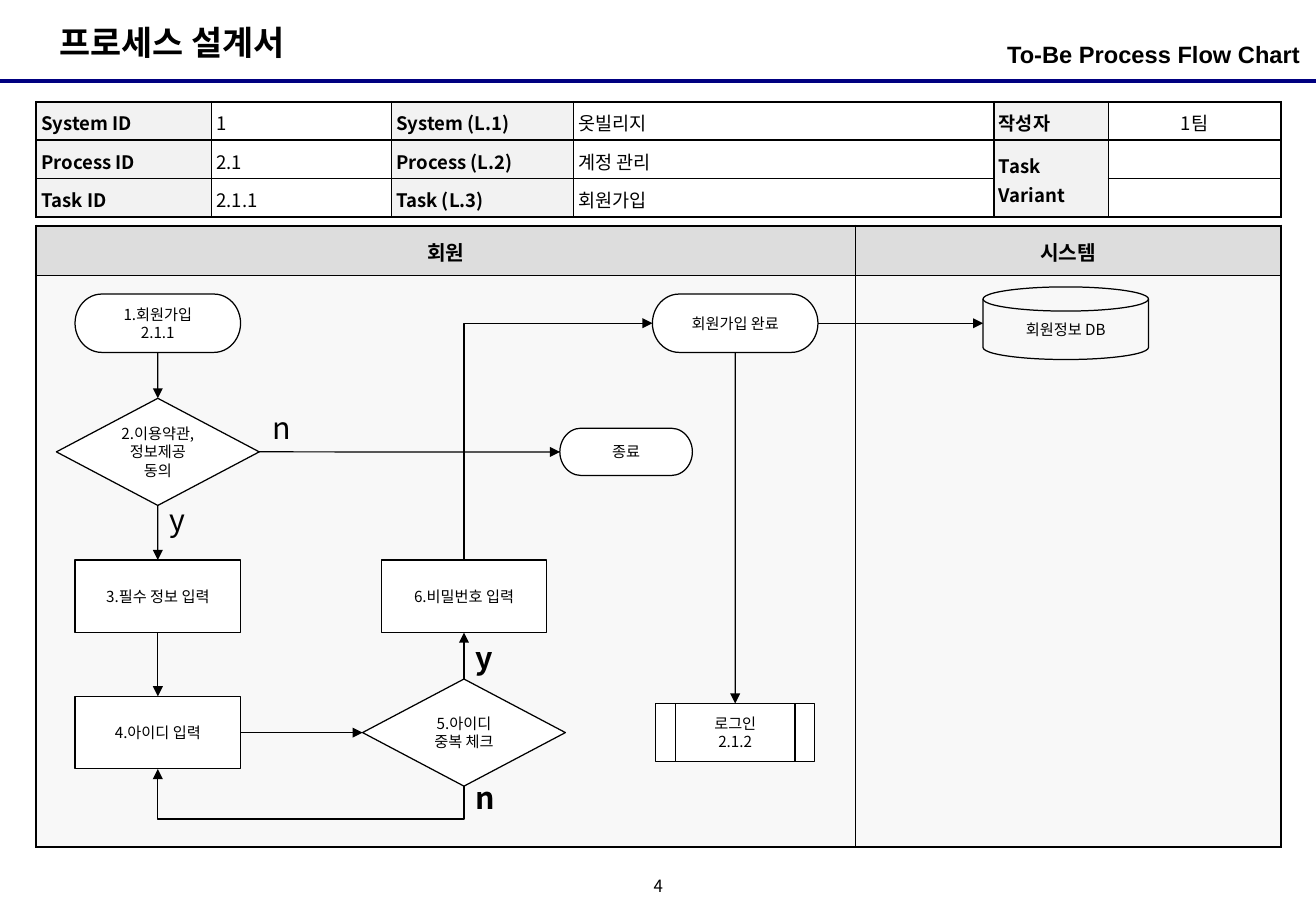
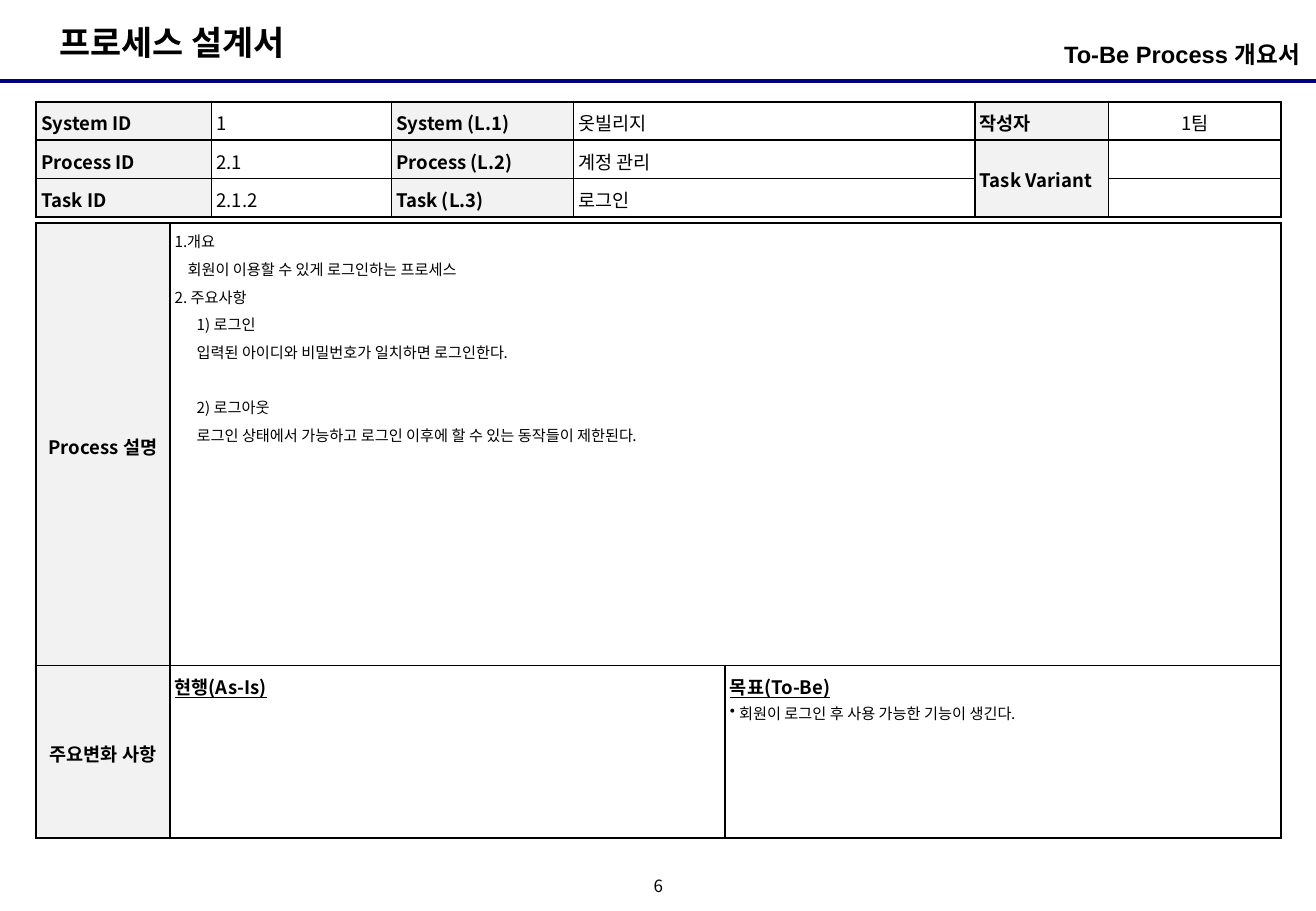
from dataclasses import dataclass

from lxml import etree
from pptx import Presentation
from pptx.dml.color import RGBColor
from pptx.enum.shapes import MSO_CONNECTOR, MSO_SHAPE
from pptx.enum.text import MSO_ANCHOR, MSO_AUTO_SIZE, PP_ALIGN
from pptx.oxml.ns import qn
from pptx.shapes.autoshape import Shape
from pptx.shapes.connector import Connector
from pptx.slide import Slide
from pptx.table import Table
from pptx.text.text import TextFrame
from pptx.util import Cm, Pt

LEFT, CENTER, RIGHT = PP_ALIGN.LEFT, PP_ALIGN.CENTER, PP_ALIGN.RIGHT
UPPER, MIDDLE = MSO_ANCHOR.TOP, MSO_ANCHOR.MIDDLE
STRAIGHT, ELBOW = MSO_CONNECTOR.STRAIGHT, MSO_CONNECTOR.ELBOW
TERMINATOR, DIAMOND = MSO_SHAPE.FLOWCHART_TERMINATOR, MSO_SHAPE.DIAMOND
RECTANGLE, DISK = MSO_SHAPE.RECTANGLE, MSO_SHAPE.FLOWCHART_MAGNETIC_DISK
SUBPROCESS = MSO_SHAPE.FLOWCHART_PREDEFINED_PROCESS
TOP_SIDE, LEFT_SIDE, BOTTOM_SIDE, RIGHT_SIDE = range(4)

COLORS = {"ink": "000000", "rule": "000080", "label": "F2F2F2",
          "lane head": "DDDDDD", "lane": "F8F8F8", "white": "FFFFFF"}
HEADING_FONT, BODY_FONT = "Arial", "Noto Sans CJK KR"
SLIDE_WIDTH, SLIDE_HEIGHT = 27.51, 19.05
TABLE_LEFT = 0.76


@dataclass(frozen=True)
class Line:
    text: str
    size: float = 11
    bold: bool = False
    underline: bool = False
    margin: float = 0
    before: float = 0
    bullet: bool = False
    font: str = BODY_FONT


@dataclass(frozen=True)
class Node:
    name: str
    kind: MSO_SHAPE
    text: str
    center_x: float
    center_y: float
    width: float = 3.46
    height: float = 1.52
    fill: str = "white"


@dataclass(frozen=True)
class Link:
    start: str
    start_side: int
    end: str
    end_side: int
    preset: str = ""
    bend: int | None = None


@dataclass(frozen=True)
class Answer:
    text: str
    left: float
    top: float
    bold: bool = False


def color(name: str) -> RGBColor:
    return RGBColor.from_string(COLORS[name])


def write(frame: TextFrame, lines: list[Line], align: PP_ALIGN = LEFT,
          spacing: float | None = None) -> None:
    frame.text = "\n".join(line.text for line in lines)
    for para, line in zip(frame.paragraphs, lines):
        para.alignment = align
        if spacing:
            para.line_spacing = spacing
        if line.before:
            para.space_before = Pt(line.before)
        if line.margin:
            properties = para._p.get_or_add_pPr()
            properties.set("marL", str(Cm(line.margin)))
            properties.set("indent", str(-Cm(line.margin) if line.bullet else 0))
        if line.bullet:
            etree.SubElement(para._p.get_or_add_pPr(), qn("a:buChar"), char="•")
        for span in para.runs:
            font = span.font
            font.name, font.size = line.font, Pt(line.size)
            font.bold, font.underline = line.bold, line.underline
            font.color.rgb = color("ink")
            etree.SubElement(span._r.get_or_add_rPr(), qn("a:ea"), typeface=BODY_FONT)
        if not para.runs:
            etree.SubElement(para._p, qn("a:endParaRPr"), sz=str(int(line.size * 100)))


def set_insets(frame: TextFrame, side: float, vertical: float) -> None:
    frame.margin_left = frame.margin_right = Cm(side)
    frame.margin_top = frame.margin_bottom = Cm(vertical)


def add_text(slide: Slide, place: tuple[float, float, float, float], line: Line,
             align: PP_ALIGN = LEFT, anchor: MSO_ANCHOR = UPPER,
             insets: tuple[float, float] = (0, 0)) -> None:
    box = slide.shapes.add_textbox(*map(Cm, place))
    box.text_frame.word_wrap = True
    box.text_frame.vertical_anchor = anchor
    set_insets(box.text_frame, *insets)
    write(box.text_frame, [line], align)


def style_line(connector: Connector, color_name: str, width: float) -> None:
    connector.line.color.rgb = color(color_name)
    connector.line.width = Pt(width)
    etree.SubElement(connector._element.spPr, qn("a:effectLst"))


# Shared page frame: title, subtitle, rule and page number
def add_page(deck: Presentation, subtitle: str, number: int) -> Slide:
    slide = deck.slides.add_slide(deck.slide_layouts[5])
    title = slide.shapes.title
    title.left, title.top, title.width, title.height = map(Cm, (0.99, 0.33, 5.74, 1.12))
    frame = title.text_frame
    frame.auto_size, frame.word_wrap = MSO_AUTO_SIZE.NONE, False
    frame.vertical_anchor = UPPER
    set_insets(frame, 0.25, 0.13)
    write(frame, [Line("프로세스 설계서", 20, True, font=HEADING_FONT)])
    rule = slide.shapes.add_connector(STRAIGHT, 0, Cm(1.7), Cm(SLIDE_WIDTH), Cm(1.7))
    style_line(rule, "rule", 2.25)
    add_text(slide, (18.77, 0.71, 8.41, 0.99),
             Line(subtitle, 14, True, font=HEADING_FONT), RIGHT, insets=(0, 0.13))
    add_text(slide, (13.34, 18.21, 0.84, 0.64), Line(str(number), 10), CENTER, MIDDLE)
    return slide


# Tables
def add_grid(slide: Slide, top: float, columns: list[float], rows: list[float]) -> Table:
    table = slide.shapes.add_table(
        len(rows), len(columns), Cm(TABLE_LEFT), Cm(top),
        Cm(sum(columns)), Cm(sum(rows))).table
    table.first_row = table.horz_banding = False
    for column, width in zip(table.columns, columns):
        column.width = Cm(width)
    for row, height in zip(table.rows, rows):
        row.height = Cm(height)
    return table


def fill_cell(table: Table, row: int, column: int, lines: list[Line],
              fill: str = "white", align: PP_ALIGN = LEFT,
              anchor: MSO_ANCHOR = UPPER) -> None:
    cell = table.cell(row, column)
    cell.fill.solid()
    cell.fill.fore_color.rgb = color(fill)
    cell.vertical_anchor = anchor
    cell.margin_left = cell.margin_right = cell.margin_top = cell.margin_bottom = Cm(0.1)
    write(cell.text_frame, lines, align, 1.1)


def draw_borders(table: Table, inner: float, outer: float = 1.5) -> None:
    last_row, last_column = len(table.rows), len(table.columns)
    for row in range(last_row):
        for column in range(last_column):
            cell = table.cell(row, column)
            right = column + (cell.span_width if cell.is_merge_origin else 1)
            bottom = row + (cell.span_height if cell.is_merge_origin else 1)
            at_edge = {"a:lnL": column == 0, "a:lnR": right == last_column,
                       "a:lnT": row == 0, "a:lnB": bottom == last_row}
            properties = cell._tc.get_or_add_tcPr()
            for position, (tag, edge) in enumerate(at_edge.items()):
                border = etree.Element(qn(tag), w=str(Pt(outer if edge else inner)))
                paint = etree.SubElement(border, qn("a:solidFill"))
                etree.SubElement(paint, qn("a:srgbClr"), val=COLORS["ink"])
                properties.insert(position, border)


def add_task_info(slide: Slide, task_id: str, task: str, variant_width: float) -> None:
    columns = [3.66, 3.76, 3.81, 11.18 - variant_width, variant_width, 3.61]
    table = add_grid(slide, 2.13, columns, [0.8] * 3)
    table.cell(1, 4).merge(table.cell(2, 4))
    records = [("System ID", "1", "System (L.1)", "옷빌리지", "작성자", "1팀"),
               ("Process ID", "2.1", "Process (L.2)", "계정 관리", "Task Variant", ""),
               ("Task ID", task_id, "Task (L.3)", task, "", "")]
    for row, record in enumerate(records):
        for column, text in enumerate(record):
            is_label = column % 2 == 0
            if not table.cell(row, column).is_spanned:
                fill_cell(table, row, column, [Line(text, bold=is_label)],
                          "label" if is_label else "white",
                          CENTER if column == 5 else LEFT,
                          MIDDLE if column >= 4 else UPPER)
    draw_borders(table, 1)


# Flow chart
def add_node(slide: Slide, node: Node) -> Shape:
    shape = slide.shapes.add_shape(
        node.kind, Cm(node.center_x - node.width / 2), Cm(node.center_y - node.height / 2),
        Cm(node.width), Cm(node.height))
    shape.shadow.inherit = False
    shape.fill.solid()
    shape.fill.fore_color.rgb = color(node.fill)
    shape.line.color.rgb = color("ink")
    shape.line.width = Pt(0.75)
    frame = shape.text_frame
    frame.word_wrap, frame.vertical_anchor = True, MIDDLE
    set_insets(frame, 0.25, 0.25)
    write(frame, [Line(text, 9) for text in node.text.split("\n")], CENTER)
    return shape


def side_point(shape: Shape, side: int) -> tuple[int, int]:
    across, down = [(0.5, 0), (0, 0.5), (0.5, 1), (1, 0.5)][side]
    return (int(shape.left + shape.width * across), int(shape.top + shape.height * down))


def add_link(slide: Slide, shapes: dict[str, Shape], link: Link) -> None:
    start, end = shapes[link.start], shapes[link.end]
    start_x, start_y = side_point(start, link.start_side)
    end_x, end_y = side_point(end, link.end_side)
    connector = slide.shapes.add_connector(
        ELBOW if link.preset else STRAIGHT, start_x, start_y, end_x, end_y)
    connector.begin_connect(start, link.start_side)
    if end.auto_shape_type != DISK:
        connector.end_connect(end, link.end_side)
    style_line(connector, "ink", 0.75)
    etree.SubElement(connector.line._get_or_add_ln(), qn("a:tailEnd"), type="triangle")
    if not link.preset:
        return
    # A bend that leaves vertically is the horizontal preset turned by 90 degrees
    width, height = abs(end_y - start_y), abs(end_x - start_x)
    connector.left = (start_x + end_x - width) // 2
    connector.top = (start_y + end_y - height) // 2
    connector.width, connector.height = width, height
    frame = connector._element.spPr.find(qn("a:xfrm"))
    frame.set("rot", "5400000")
    frame.set("flipH", str(int(start_y > end_y)))
    frame.set("flipV", str(int(start_x < end_x)))
    geometry = connector._element.spPr.find(qn("a:prstGeom"))
    geometry.set("prst", link.preset)
    if link.bend is not None:
        guides = geometry.find(qn("a:avLst"))
        if guides is None:
            guides = etree.SubElement(geometry, qn("a:avLst"))
        etree.SubElement(guides, qn("a:gd"), name="adj1", fmla=f"val {link.bend}")


COLUMN_1, COLUMN_2, COLUMN_3, COLUMN_DB = 3.3, 9.7, 15.37, 22.28
ROW_1, ROW_2, ROW_3, ROW_4 = 6.76, 9.45, 12.47, 15.32
NODES = [
    Node("join", TERMINATOR, "1.회원가입\n2.1.1", COLUMN_1, ROW_1, height=1.22),
    Node("terms", DIAMOND, "2.이용약관,\n정보제공 동의", COLUMN_1, ROW_2, 4.24, 2.24),
    Node("details", RECTANGLE, "3.필수 정보 입력", COLUMN_1, ROW_3),
    Node("user id", RECTANGLE, "4.아이디 입력", COLUMN_1, ROW_4),
    Node("id check", DIAMOND, "5.아이디 중복 체크", COLUMN_2, ROW_4, 4.24, 2.24),
    Node("password", RECTANGLE, "6.비밀번호 입력", COLUMN_2, ROW_3),
    Node("end", TERMINATOR, "종료", 13.09, ROW_2, 2.77, 0.99),
    Node("joined", TERMINATOR, "회원가입 완료", COLUMN_3, ROW_1, height=1.22),
    Node("login", SUBPROCESS, "로그인\n2.1.2", COLUMN_3, ROW_4, 3.33, 1.22),
    Node("database", DISK, "회원정보 DB", COLUMN_DB, ROW_1, fill="lane"),
]
LINKS = [
    Link("join", BOTTOM_SIDE, "terms", TOP_SIDE),
    Link("terms", BOTTOM_SIDE, "details", TOP_SIDE),
    Link("terms", RIGHT_SIDE, "end", LEFT_SIDE),
    Link("details", BOTTOM_SIDE, "user id", TOP_SIDE),
    Link("user id", RIGHT_SIDE, "id check", LEFT_SIDE),
    Link("id check", TOP_SIDE, "password", BOTTOM_SIDE),
    Link("id check", BOTTOM_SIDE, "user id", BOTTOM_SIDE, "bentConnector3", -190000),
    Link("password", TOP_SIDE, "joined", LEFT_SIDE, "bentConnector2"),
    Link("joined", BOTTOM_SIDE, "login", TOP_SIDE),
    Link("joined", RIGHT_SIDE, "database", LEFT_SIDE),
]
ANSWERS = [Answer("y", COLUMN_1, 10.24), Answer("n", 5.44, 8.31),
           Answer("y", COLUMN_2, 13.11, True), Answer("n", COLUMN_2, 16.05, True)]


def build_flow_page(deck: Presentation) -> None:
    slide = add_page(deck, "To-Be Process Flow Chart", 4)
    lanes = add_grid(slide, 4.72, [17.12, 8.89], [1.04, 11.96])
    for column, actor in enumerate(["회원", "시스템"]):
        fill_cell(lanes, 0, column, [Line(actor, 12, True)], "lane head", CENTER, MIDDLE)
        fill_cell(lanes, 1, column, [Line("")], "lane")
    draw_borders(lanes, 0.75)
    add_task_info(slide, "2.1.1", "회원가입", 2.39)
    shapes = {node.name: add_node(slide, node) for node in NODES}
    for link in LINKS:
        add_link(slide, shapes, link)
    for answer in ANSWERS:
        add_text(slide, (answer.left, answer.top, 1.02, 1.12),
                 Line(answer.text, 18, answer.bold), insets=(0.25, 0.25))


def build_overview_page(deck: Presentation) -> None:
    slide = add_page(deck, "To-Be Process 개요서", 6)
    add_task_info(slide, "2.1.2", "로그인", 2.79)
    table = add_grid(slide, 4.67, [2.79, 11.61, 11.61], [9.25, 3.61])
    table.cell(0, 1).merge(table.cell(0, 2))
    for row, label in enumerate(["Process 설명", "주요변화 사항"]):
        fill_cell(table, row, 0, [Line(label, bold=True)], "label", CENTER, MIDDLE)
    fill_cell(table, 0, 1, [
        Line("1.개요", 9),
        Line("회원이 이용할 수 있게 로그인하는 프로세스", 9, margin=0.27, before=2),
        Line("2. 주요사항", 9, before=2),
        Line("1) 로그인", 9, margin=0.46, before=2),
        Line("입력된 아이디와 비밀번호가 일치하면 로그인한다.", 9, margin=0.46, before=2),
        Line("2) 로그아웃", 9, margin=0.46, before=18.3),
        Line("로그인 상태에서 가능하고 로그인 이후에 할 수 있는 동작들이 제한된다.", 9,
             margin=0.46, before=2)])
    fill_cell(table, 1, 1, [Line("현행(As-Is)", bold=True, underline=True)])
    fill_cell(table, 1, 2, [
        Line("목표(To-Be)", bold=True, underline=True),
        Line("회원이 로그인 후 사용 가능한 기능이 생긴다.", 9, margin=0.19, bullet=True)])
    draw_borders(table, 1)


def main() -> None:
    deck = Presentation()
    deck.slide_width, deck.slide_height = Cm(SLIDE_WIDTH), Cm(SLIDE_HEIGHT)
    build_flow_page(deck)
    build_overview_page(deck)
    deck.save("out.pptx")


if __name__ == "__main__":
    main()
